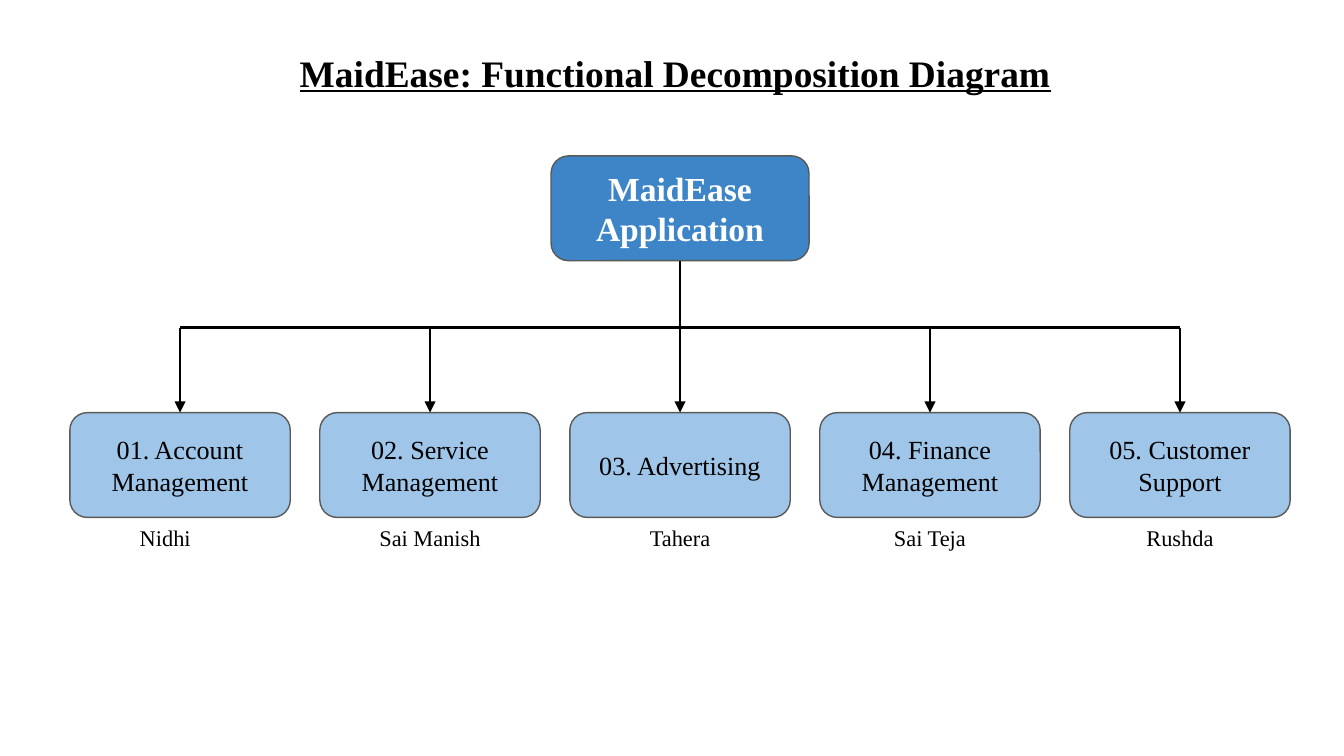
from pptx import Presentation
from pptx import util as u
from pptx.dml.color import RGBColor
from pptx.enum import shapes, text
from pptx.oxml.ns import qn
from lxml import etree


def color(code):
    """Turn a hex string into a colour."""
    return RGBColor.from_string(code)


def write(shape, words, size=12, ink="000000", bold=False, under=False,
          align="CENTER", anchor="TOP", inset=0.1, wrap=True):
    """Put formatted text in a shape, one paragraph a line."""
    frame = shape.text_frame
    frame.text = words
    frame.word_wrap = wrap
    frame.vertical_anchor = text.MSO_ANCHOR[anchor]
    frame.margin_left = frame.margin_right = u.Inches(0.1)
    frame.margin_top = frame.margin_bottom = u.Inches(inset)
    for para in frame.paragraphs:
        para.alignment = text.PP_ALIGN[align]
        for run in para.runs:
            font = run.font
            font.name = "Times New Roman"
            font.size = u.Pt(size)
            font.bold = bold
            font.underline = under
            font.color.rgb = color(ink)


class Chart:
    """Style and current slide of the diagram."""

    edge = "595959"
    ink = "000000"

    def __init__(self, deck):
        """Add a title-only slide."""
        self.slide = deck.slides.add_slide(deck.slide_layouts[5])
        self.items = self.slide.shapes

    def title(self, words, *place):
        """Place and format the title."""
        head = self.items.title
        head.left, head.top, head.width, head.height = map(u.Inches, place)
        write(head, words, size=20, bold=True, under=True, align="LEFT",
              inset=0.05, wrap=False)
        head.text_frame.auto_size = text.MSO_AUTO_SIZE.SHAPE_TO_FIT_TEXT

    def box(self, words, *place, fill, **style):
        """Draw a rounded box with centred text."""
        box = self.items.add_shape(shapes.MSO_SHAPE.ROUNDED_RECTANGLE,
                                   *map(u.Inches, place))
        box.shadow.inherit = False
        box.fill.solid()
        box.fill.fore_color.rgb = color(fill)
        box.line.color.rgb = color(self.edge)
        box.line.width = u.Pt(0.75)
        write(box, words, anchor="MIDDLE", **style)

    def line(self, *ends, arrow=False):
        """Draw a straight line, with an arrowhead at its end if asked."""
        line = self.items.add_connector(shapes.MSO_CONNECTOR.STRAIGHT,
                                        *map(u.Inches, ends))
        line.line.color.rgb = color(self.ink)
        line.line.width = u.Pt(1.5)
        props = line._element.spPr
        if arrow:
            etree.SubElement(props.find(qn("a:ln")), qn("a:tailEnd"),
                             type="triangle")
        etree.SubElement(props, qn("a:effectLst"))

    def label(self, words, *place):
        """Add a centred caption."""
        write(self.items.add_textbox(*map(u.Inches, place)), words)


deck = Presentation()
deck.slide_width = u.Inches(10)
deck.slide_height = deck.slide_width * 9 // 16
chart = Chart(deck)
chart.title("MaidEase: Functional Decomposition Diagram",
            2.13, 0.32, 5.83, 0.44)

parts = [
    ("01. Account Management", "Nidhi"),
    ("02. Service Management", "Sai Manish"),
    ("03. Advertising", "Tahera"),
    ("04. Finance Management", "Sai Teja"),
    ("05. Customer Support", "Rushda"),
]
wide, high, tag = 1.64, 0.78, 1.37
first, step = 1.34, 1.86
root, rail, row = 1.16, 2.44, 3.07
mids = [first + step * i for i in range(len(parts))]
trunk = mids[2]

chart.box("MaidEase\nApplication", 4.1, root, 1.92, high,
          fill="3D85C6", size=18, ink="FFFFFF", bold=True)
chart.line(mids[0], rail, mids[-1], rail)
for mid, (part, owner) in zip(mids, parts):
    chart.box(part, mid - wide / 2, row, wide, high, fill="9FC5E8", size=14)
    start = root + high if mid == trunk else rail
    chart.line(mid, start, mid, row, arrow=True)
    shift = 0.11 if mid == first else 0
    chart.label(owner, mid - tag / 2 - shift, 3.8, tag, 0.32)

deck.save("out.pptx")
